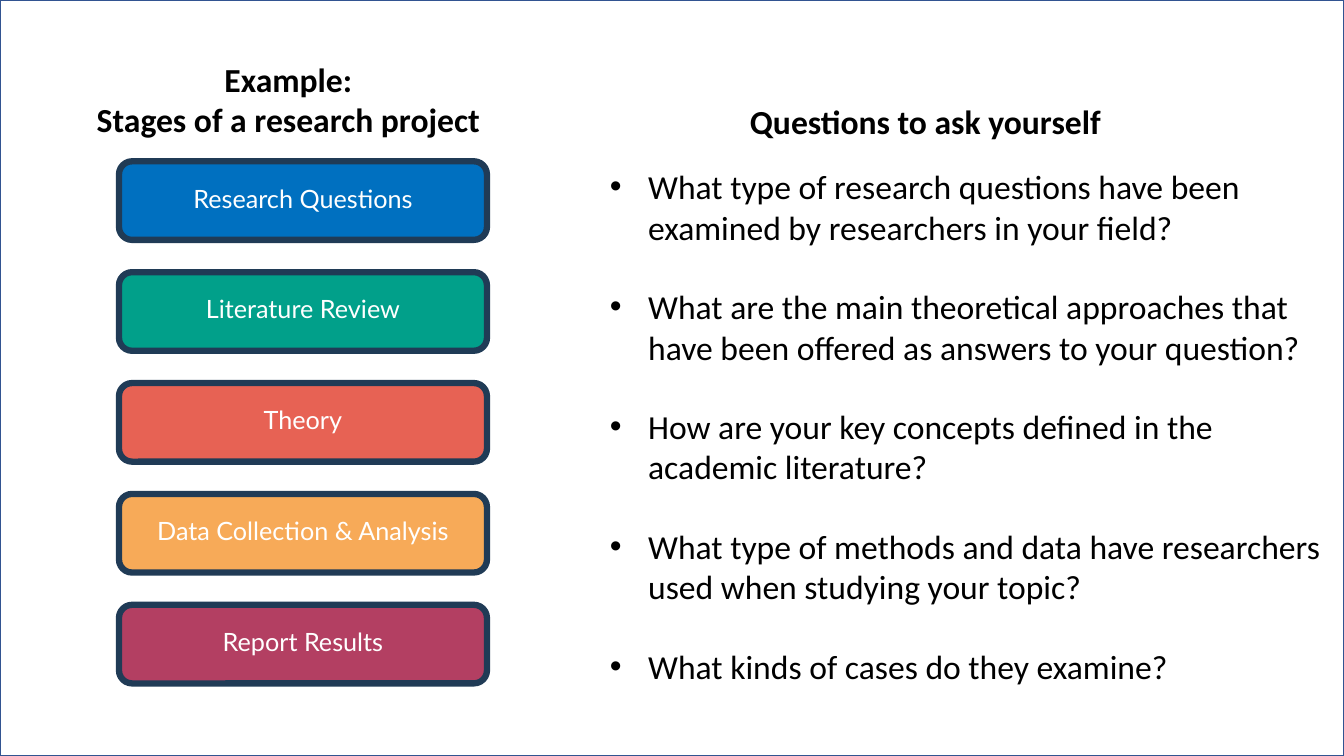
from dataclasses import dataclass

from lxml import etree
from pptx import Presentation
from pptx.dml.color import RGBColor
from pptx.enum.shapes import MSO_SHAPE
from pptx.enum.text import MSO_ANCHOR, MSO_AUTO_SIZE, PP_ALIGN
from pptx.oxml.ns import qn
from pptx.slide import Slide
from pptx.text.text import TextFrame, _Paragraph
from pptx.util import Inches, Pt

RECT, ROUND_RECT = MSO_SHAPE.RECTANGLE, MSO_SHAPE.ROUNDED_RECTANGLE
LEFT, CENTER = PP_ALIGN.LEFT, PP_ALIGN.CENTER
TOP, MIDDLE = MSO_ANCHOR.TOP, MSO_ANCHOR.MIDDLE
NO_AUTOFIT = MSO_AUTO_SIZE.NONE


@dataclass(frozen=True)
class Theme:
    text: str = "000000"
    paper: str = "FFFFFF"
    frame: str = "325491"
    stage_line: str = "203B56"
    font: str = "Calibri"
    stage_font: str = "Lato"
    body_size: int = 24
    stage_size: int = 18
    question_gap: int = 28


@dataclass(frozen=True)
class Box:
    left: float
    top: float
    width: float
    height: float

    def emu(self) -> list[int]:
        return [Inches(v) for v in (self.left, self.top, self.width, self.height)]


@dataclass(frozen=True)
class Stage:
    label: str
    fill: str


THEME = Theme()
SLIDE = Box(0, 0, 13.33, 7.5)
TITLE = Box(0, 0.53, 5.72, 0.91)
HEADING = Box(7.34, 0.95, 5.9, 0.5)
QUESTION_LIST = Box(5.95, 1.6, 7.25, 5.35)
FIRST_STAGE = Box(1.18, 1.6, 3.65, 0.78)
STAGE_PITCH = 1.1
BULLET_INDENT = 0.38

STAGES = [
    Stage("Research Questions", "0070C0"),
    Stage("Literature Review", "01A08A"),
    Stage("Theory", "E76254"),
    Stage("Data Collection & Analysis", "F7AA58"),
    Stage("Report Results", "B33F62"),
]
QUESTIONS = [
    "What type of research questions have been examined by researchers in your field?",
    "What are the main theoretical approaches that have been offered as answers to your question?",
    "How are your key concepts defined in the academic literature?",
    "What type of methods and data have researchers used when studying your topic?",
    "What kinds of cases do they examine?",
]


def add_bullet(p: _Paragraph) -> None:
    pPr = p._p.get_or_add_pPr()
    pPr.set("marL", str(Inches(BULLET_INDENT)))
    pPr.set("indent", str(-Inches(BULLET_INDENT)))
    etree.SubElement(pPr, qn("a:buFont"), typeface="Arial")
    etree.SubElement(pPr, qn("a:buChar"), char="•")


def write(tf: TextFrame, lines: list[str], align: PP_ALIGN = LEFT, bold: bool = False,
          font: str = THEME.font, size: int = THEME.body_size, color: str = THEME.text,
          anchor: MSO_ANCHOR = TOP) -> None:
    tf.word_wrap = True
    tf.auto_size = NO_AUTOFIT
    tf.vertical_anchor = anchor
    tf.text = "\n".join(lines)
    for p in tf.paragraphs:
        p.alignment = align
        for r in p.runs:
            r.font.name = font
            r.font.size = Pt(size)
            r.font.bold = bold
            r.font.color.rgb = RGBColor.from_string(color)


def add_box(s: Slide, kind: MSO_SHAPE, box: Box, fill: str, line: str, width: float):
    sp = s.shapes.add_shape(kind, *box.emu())
    sp.shadow.inherit = False
    sp.fill.solid()
    sp.fill.fore_color.rgb = RGBColor.from_string(fill)
    sp.line.color.rgb = RGBColor.from_string(line)
    sp.line.width = Pt(width)
    return sp


def add_stage(s: Slide, index: int, stage: Stage) -> None:
    first = FIRST_STAGE
    box = Box(first.left, first.top + index * STAGE_PITCH, first.width, first.height)
    sp = add_box(s, ROUND_RECT, box, stage.fill, THEME.stage_line, 4.5)
    sp.text_frame.margin_bottom = Inches(0.1)
    write(sp.text_frame, [stage.label], CENTER, font=THEME.stage_font,
          size=THEME.stage_size, color=THEME.paper, anchor=MIDDLE)


def add_questions(s: Slide) -> None:
    tf = s.shapes.add_textbox(*QUESTION_LIST.emu()).text_frame
    write(tf, QUESTIONS)
    for i, p in enumerate(tf.paragraphs):
        if i:
            p.space_before = Pt(THEME.question_gap)
        add_bullet(p)


def main() -> None:
    prs = Presentation()
    prs.slide_width, prs.slide_height = Inches(SLIDE.width), Inches(SLIDE.height)
    s = prs.slides.add_slide(prs.slide_layouts[5])

    # Page frame, behind everything
    frame = add_box(s, RECT, SLIDE, THEME.paper, THEME.frame, 1)
    title = s.shapes.title
    title.element.addprevious(frame.element)

    # Left column: title and stages
    title.left, title.top, title.width, title.height = TITLE.emu()
    write(title.text_frame, ["Example:", "Stages of a research project"], CENTER, bold=True)
    for i, stage in enumerate(STAGES):
        add_stage(s, i, stage)

    # Right column: heading and questions
    heading = s.shapes.add_textbox(*HEADING.emu())
    write(heading.text_frame, ["Questions to ask yourself"], bold=True)
    add_questions(s)

    prs.save("out.pptx")


if __name__ == "__main__":
    main()
